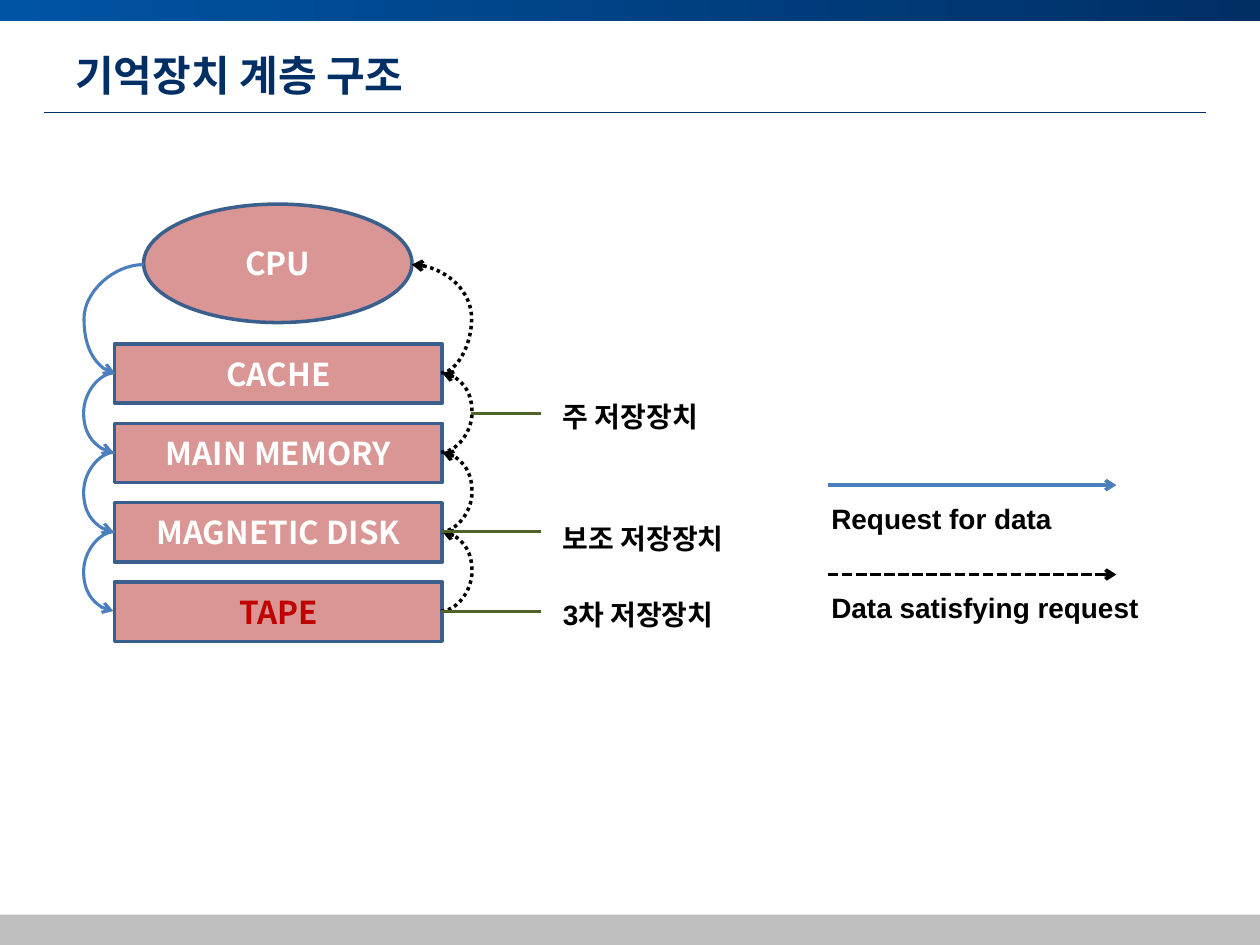
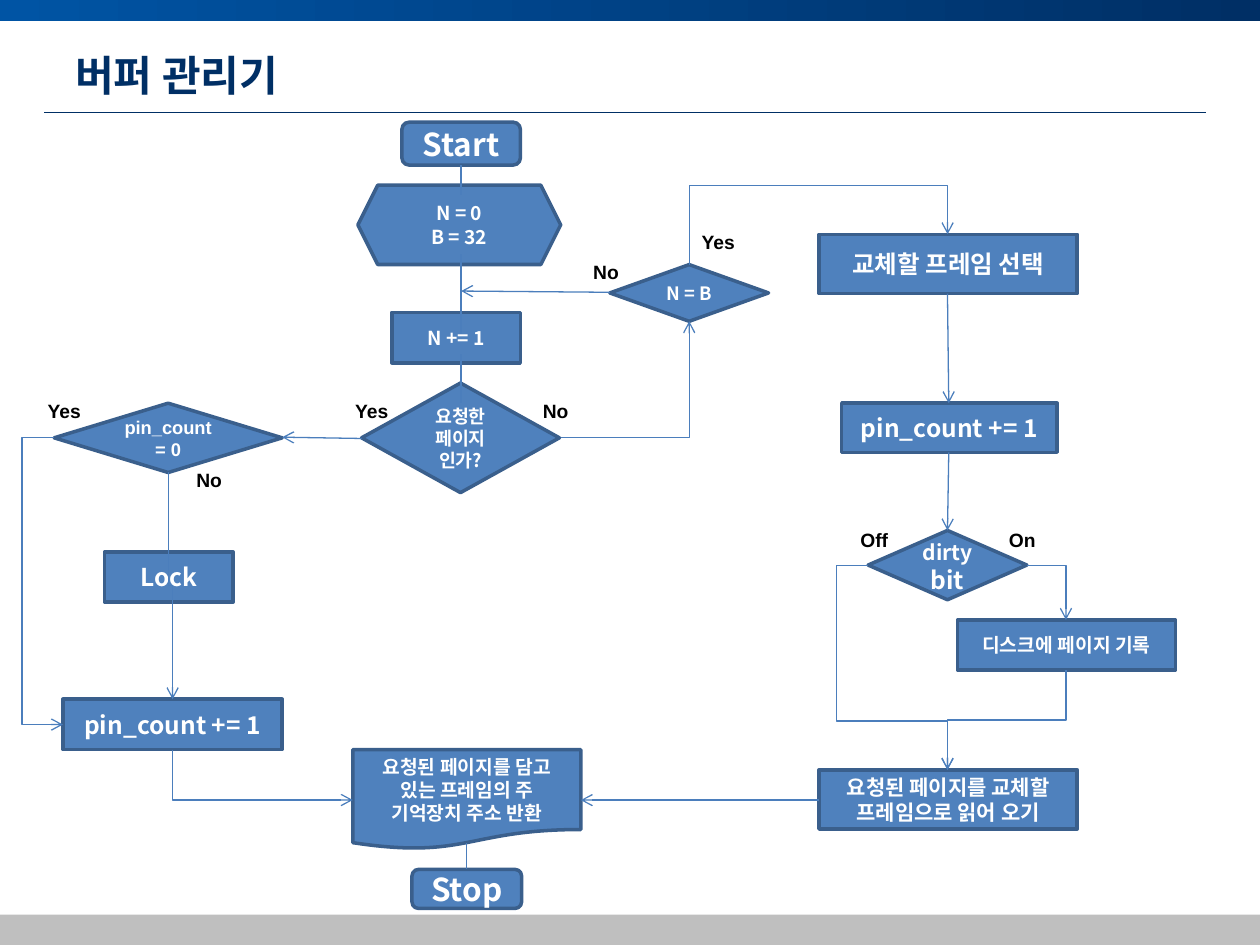
"""Build two slides: the memory hierarchy and the buffer manager flowchart."""
from math import cos, radians, sin

from lxml.etree import SubElement
from pptx import Presentation
from pptx.dml.color import RGBColor as RGB
from pptx.enum.dml import MSO_LINE as Dash
from pptx.enum.shapes import MSO_CONNECTOR as Conn, MSO_SHAPE as Kind
from pptx.enum.text import MSO_ANCHOR as Anchor, PP_ALIGN as Align
from pptx.oxml.ns import qn
from pptx.util import Inches, Pt

HUES = {
    "navy": "002F65", "royal": "0054A4", "gray": "BFBFBF", "black": "000000",
    "white": "FFFFFF", "blue": "4F81BD", "edge": "3A5F8C", "wire": "4B7EBC",
    "pink": "D99694", "red": "C00000", "green": "4F6228",
}
NOTO, ARIAL = "Noto Sans CJK KR", "Arial"


class Deck:
    """Hold the style and the current slide."""

    def __init__(self):
        self.file = Presentation()
        self.file.slide_width, self.file.slide_height = Inches(10), Inches(7.5)
        self.slide = None

    def hue(self, name):
        return RGB.from_string(HUES[name])

    def page(self, title):
        self.slide = self.file.slides.add_slide(self.file.slide_layouts[6])
        band = self.shape(Kind.RECTANGLE, (0, 0, 10, 0.17))
        band.fill.gradient()
        band.fill.gradient_angle = 0
        for stop, name in zip(band.fill.gradient_stops, ("royal", "navy")):
            stop.color.rgb = self.hue(name)
        self.link((0.35, 0.89), (9.57, 0.89), "navy", 0.5, head=False)
        self.shape(Kind.RECTANGLE, (0, 7.26, 10, 0.25), "gray")
        self.label(title, (0.5, 0.3, 9, 0.58), 24, NOTO, "navy", Anchor.MIDDLE)

    def shape(self, kind, at, fill=None):
        item = self.slide.shapes.add_shape(kind, *map(Inches, at))
        item.shadow.inherit = False
        item.line.fill.background()
        if fill:
            item.fill.solid()
            item.fill.fore_color.rgb = self.hue(fill)
        return item

    def style(self, run, size, font, color):
        run.font.size, run.font.bold, run.font.name = Pt(size), True, font
        run.font.color.rgb = self.hue(color)
        SubElement(run.font._element, qn("a:ea")).set("typeface", NOTO)

    def letter(self, item, text, size, font, color, anchor, align):
        frame = item.text_frame
        frame.word_wrap = True
        frame.vertical_anchor = anchor
        frame.text = text
        for para in frame.paragraphs:
            para.alignment = align
            for run in para.runs:
                self.style(run, size, font, color)

    def label(self, text, at, size=11, font=ARIAL, color="black", anchor=Anchor.TOP):
        item = self.slide.shapes.add_textbox(*map(Inches, at))
        self.letter(item, text, size, font, color, anchor, Align.LEFT)

    def node(self, kind, text, at, size=11, font=NOTO, fill="blue", color="white"):
        item = self.shape(kind, at, fill)
        item.line.color.rgb = self.hue("edge")
        item.line.width = Pt(2)
        self.letter(item, text, size, font, color, Anchor.MIDDLE, Align.CENTER)
        return item

    def link(self, start, end, color="wire", width=0.75, dash=None, head=True,
             kind=Conn.STRAIGHT, preset=None, turn=0, bends=()):
        dx, dy = end[0] - start[0], end[1] - start[1]
        mid = start[0] + dx / 2, start[1] + dy / 2
        c, s = cos(radians(turn)), sin(radians(turn))
        half = (dx * c + dy * s) / 2, (dy * c - dx * s) / 2
        ends = [mid[i] + sign * half[i] for sign in (-1, 1) for i in (0, 1)]
        item = self.slide.shapes.add_connector(kind, *map(Inches, ends))
        item.line.color.rgb = self.hue(color)
        item.line.width = Pt(width)
        if dash:
            item.line.dash_style = dash
        props = item._element.spPr
        if turn:
            props.find(qn("a:xfrm")).set("rot", str(turn * 60000))
        geom = props.find(qn("a:prstGeom"))
        if preset:
            geom.set("prst", preset)
        guides = geom.find(qn("a:avLst"))
        if guides is None:
            guides = SubElement(geom, qn("a:avLst"))
        for num, bend in enumerate(bends, 1):
            guide = SubElement(guides, qn("a:gd"))
            guide.set("name", f"adj{num}")
            guide.set("fmla", f"val {round(bend * 100000)}")
        if head:
            SubElement(props.find(qn("a:ln")), qn("a:tailEnd")).set("type", "arrow")
        SubElement(props, qn("a:effectLst"))

    def elbow(self, start, end, turn=0, bends=(), legs=3):
        self.link(start, end, kind=Conn.ELBOW, preset=f"bentConnector{legs}",
                  turn=turn, bends=bends)

    def curve(self, start, end, bend, turn=0, **look):
        self.link(start, end, kind=Conn.CURVE, turn=turn, bends=(bend,), **look)


def memory(deck):
    """Draw the memory hierarchy."""
    deck.page("기억장치 계층 구조")
    keys = (("Request for data", 3.85, 2.13, "wire", None),
            ("Data satisfying request", 4.56, 2.83, "black", Dash.SQUARE_DOT))
    for text, y, wide, color, dash in keys:
        deck.link((6.57, y), (8.86, y), color, 2, dash)
        deck.label(text, (6.5, y + 0.08, wide, 0.37), 16)

    deck.node(Kind.OVAL, "CPU", (1.14, 1.62, 2.13, 0.94), 18, fill="pink")
    step, first = 0.63, 2.96
    rows = "CACHE", "MAIN MEMORY", "MAGNETIC DISK", "TAPE"
    for i, text in enumerate(rows):
        color = "red" if text == "TAPE" else "white"
        deck.node(Kind.RECTANGLE, text, (0.91, 2.73 + i * step, 2.6, 0.47), 18,
                  fill="pink", color=color)

    back = dict(color="black", width=2, dash=Dash.ROUND_DOT)
    deck.curve((1.14, 2.1), (0.91, first), 2.06, 180, width=1.75)
    deck.curve((3.5, first), (3.27, 2.1), -1.06, **back)
    for i in range(3):
        top, low = first + i * step, first + (i + 1) * step
        deck.curve((0.91, top), (0.9, low), 25, 180, width=1.75)
        deck.curve((3.5, low), (3.51, top), 25, **back)

    tiers = (("주 저장장치", 3.12, 3.74, 3.28), ("보조 저장장치", 4.09, 3.5, 4.22),
             ("3차 저장장치", 4.69, 3.5, 4.85))
    for text, top, x, y in tiers:
        deck.label(text, (4.37, top, 2.13, 0.37), 16)
        deck.link((4.29, y), (x, y), "green", 1.75, head=False)


def buffer(deck):
    """Draw the buffer manager flowchart."""
    deck.page("버퍼 관리기")
    box, gem, pill = Kind.RECTANGLE, Kind.DIAMOND, Kind.FLOWCHART_ALTERNATE_PROCESS
    nodes = (
        (pill, "Start", (3.19, 0.97, 0.94, 0.34), 18),
        (Kind.HEXAGON, "N = 0\vB = 32", (2.84, 1.47, 1.61, 0.63)),
        (box, "N += 1", (3.11, 2.48, 1.02, 0.4)),
        (gem, "요청한 페이지 인가?", (2.87, 3.04, 1.57, 0.87), 10.5),
        (gem, "N = B", (4.84, 2.1, 1.26, 0.45), 10.5),
        (gem, "pin_count = 0", (0.43, 3.2, 1.81, 0.55), 10.5, ARIAL),
        (box, "Lock", (0.83, 4.38, 1.02, 0.4), 14),
        (box, "pin_count += 1", (0.5, 5.55, 1.74, 0.4), 14),
        (box, "교체할 프레임 선택", (6.5, 1.86, 2.05, 0.47), 14, ARIAL),
        (box, "pin_count += 1", (6.68, 3.2, 1.71, 0.39), 14),
        (box, "디스크에 페이지 기록", (7.6, 4.92, 1.73, 0.4)),
        (box, "요청된 페이지를 교체할 프레임으로 읽어 오기", (6.5, 6.11, 2.05, 0.47), 12),
        (Kind.FLOWCHART_DOCUMENT, "요청된 페이지를 담고 있는 프레임의 주 기억장치 주소 반환",
         (2.8, 5.95, 1.81, 0.79)),
        (pill, "Stop", (3.27, 6.9, 0.87, 0.31), 18),
    )
    for node in nodes:
        deck.node(*node)
    dirty = deck.node(gem, "dirty", (6.89, 4.21, 1.26, 0.55), 12)
    bit = dirty.text_frame.paragraphs[0].add_run()
    bit.text = " bit"
    deck.style(bit, 14, NOTO, "white")

    for x, top, low in ((3.66, 1.31, 1.55), (3.66, 2.02, 2.65),
                        (3.66, 2.81, 3.2), (3.7, 6.69, 6.9)):
        deck.link((x, top), (x, low), head=False)
    for start, end in (((4.84, 2.32), (3.66, 2.31)), ((2.87, 3.48), (2.24, 3.47)),
                       ((7.52, 2.33), (7.53, 3.2)), ((7.53, 3.59), (7.52, 4.21)),
                       ((6.5, 6.35), (4.61, 6.35))):
        deck.link(start, end)
    bends = (
        ((1.34, 3.75), (1.37, 5.55), 270, (0.5,)),
        ((0.43, 3.47), (0.5, 5.75), 180, (-3.65,)),
        ((1.37, 5.95), (2.8, 6.35), 270, (), 2),
        ((4.45, 3.47), (5.47, 2.55), 0, (), 2),
        ((5.47, 2.1), (7.52, 1.86), 90, (2.6,)),
        ((8.15, 4.49), (8.46, 4.92), 0, (), 2),
        ((6.89, 4.49), (7.52, 6.11), 180, (-0.4, 0.76), 4),
        ((8.46, 5.32), (7.52, 6.11), 90, (0.5,)),
    )
    for bend in bends:
        deck.elbow(*bend)

    marks = (("Yes", 2.72, 3.12), ("No", 4.21, 3.12), ("Yes", 5.47, 1.78),
             ("No", 4.61, 2.02), ("Yes", 0.28, 3.12), ("No", 1.46, 3.67),
             ("On", 7.91, 4.14), ("Off", 6.73, 4.14))
    for text, x, y in marks:
        deck.label(text, (x, y, 0.6, 0.29))


def main():
    """Build and save the deck."""
    deck = Deck()
    memory(deck)
    buffer(deck)
    deck.file.save("out.pptx")


if __name__ == "__main__":
    main()
